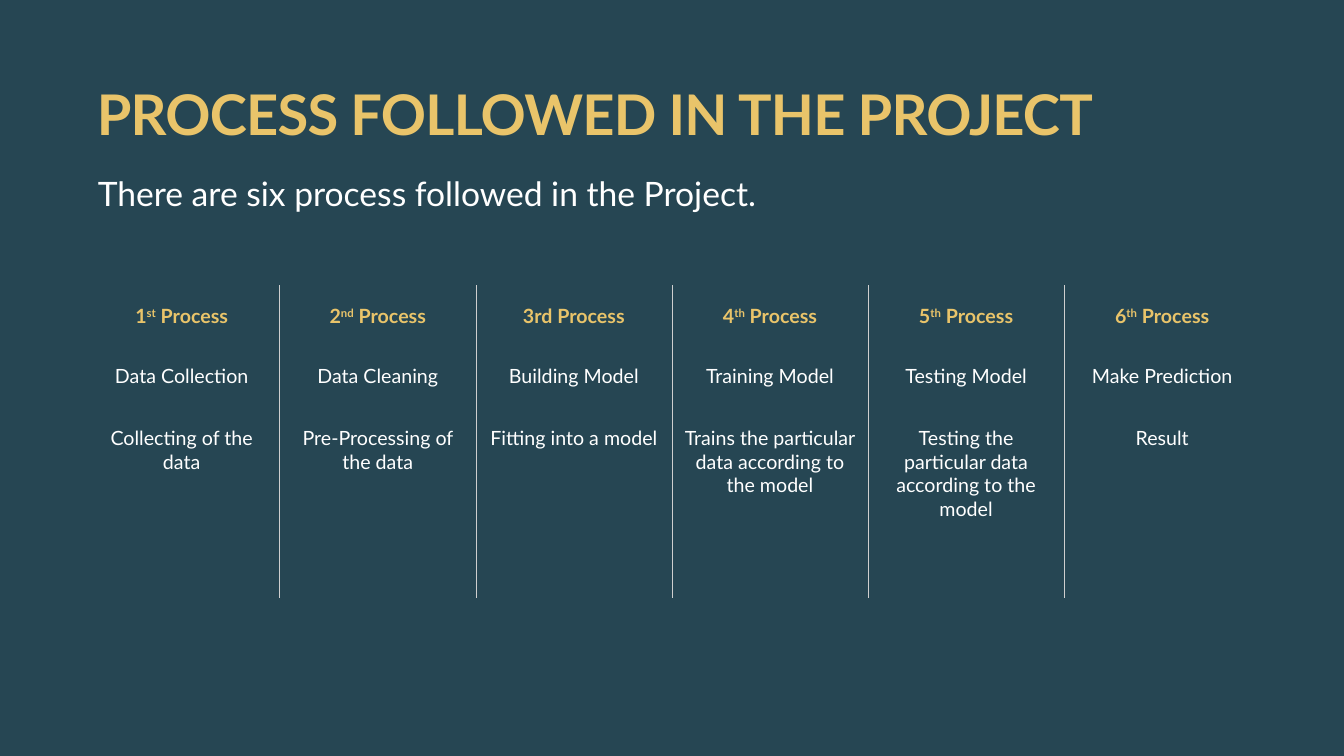
"""Build a slide that lists the six processes of a project in a ruled table."""
from pptx import Presentation
from pptx.dml.color import RGBColor
from pptx.enum.text import MSO_ANCHOR as Anchor, MSO_AUTO_SIZE as AutoSize, PP_ALIGN as Align
from pptx.oxml import parse_xml
from pptx.oxml.ns import nsdecls, qn
from pptx.util import Inches, Pt

GOLD, WHITE, RULE, NAVY = "E9C46A", "FFFFFF", "CFCFCF", "264653"
PLAIN_TABLE = "{2D5ABB26-0587-4C30-8999-92F81FD0307C}"
ROW_HEIGHTS = (0.6, 0.6, 1.9)
PROCESSES = [
    (("1", "st", " Process"), "Data Collection", "Collecting of the data"),
    (("2", "nd", " Process"), "Data Cleaning", "Pre-Processing of the data"),
    (("3rd Process",), "Building Model", "Fitting into a model"),
    (("4", "th", " Process"), "Training Model",
     "Trains the particular data according to the model"),
    (("5", "th", " Process"), "Testing Model",
     "Testing the particular data according to the model"),
    (("6", "th", " Process"), "Make Prediction", "Result"),
]


def color(value):
    return RGBColor.from_string(value)


class ProcessPage:
    def __init__(self, deck, font="Lato"):
        self.page = deck.slides.add_slide(deck.slide_layouts[5])
        self.font = font
        background = self.page.background.fill
        background.solid()
        background.fore_color.rgb = color(NAVY)

    def style(self, span, size, ink, bold=False):
        span.font.name = self.font
        span.font.size = Pt(size)
        span.font.bold = bold
        span.font.color.rgb = color(ink)

    def fill_frame(self, box, text, size, ink, bold=False, anchor=Anchor.TOP):
        frame = box.text_frame
        frame.word_wrap = True
        frame.auto_size = AutoSize.NONE
        frame.vertical_anchor = anchor
        frame.margin_left = frame.margin_right = 0
        frame.margin_top = frame.margin_bottom = 0
        frame.text = text
        para = frame.paragraphs[0]
        para.alignment = Align.LEFT
        para.line_spacing = 0.9
        self.style(para.runs[0], size, ink, bold)
        return para

    def title(self, text, left, top, width, height):
        box = self.page.shapes.title
        box.left, box.top = Inches(left), Inches(top)
        box.width, box.height = Inches(width), Inches(height)
        para = self.fill_frame(box, text, 40, GOLD, True, Anchor.BOTTOM)
        para.line_spacing = 1.0
        para.runs[0]._r.get_or_add_rPr().set("spc", "-50")

    def subtitle(self, text, left, top, width, height):
        box = self.page.shapes.add_textbox(
            Inches(left), Inches(top), Inches(width), Inches(height))
        self.fill_frame(box, text, 24, WHITE)

    def rule(self, cell, side):
        cell._tc.get_or_add_tcPr().insert(0, parse_xml(
            f'<a:{side} {nsdecls("a")} w="6350"><a:solidFill>'
            f'<a:srgbClr val="{RULE}"/></a:solidFill></a:{side}>'))

    def cell(self, cell, parts, ink, bold):
        cell.fill.background()
        para = cell.text_frame.paragraphs[0]
        para.alignment = Align.CENTER
        para.space_before = Pt(2.8)
        for index, part in enumerate(parts):
            span = para.add_run()
            span.text = part
            self.style(span, 14, ink, bold)
            if index == 1:
                span._r.get_or_add_rPr().set("baseline", "30000")

    def process_table(self, processes, left, top, width):
        table = self.page.shapes.add_table(
            len(ROW_HEIGHTS), len(processes), Inches(left), Inches(top),
            Inches(width), Inches(sum(ROW_HEIGHTS))).table
        table.first_row = table.horz_banding = False
        table._tbl.tblPr.find(qn("a:tableStyleId")).text = PLAIN_TABLE
        for row, height in zip(table.rows, ROW_HEIGHTS):
            row.height = Inches(height)
        last = len(processes) - 1
        for column, (heading, step, detail) in enumerate(processes):
            for row, parts in enumerate((heading, (step,), (detail,))):
                cell = table.cell(row, column)
                self.cell(cell, parts, GOLD if row == 0 else WHITE, row == 0)
                if row < 2:
                    cell.vertical_anchor = Anchor.MIDDLE
                else:
                    cell.margin_top = Inches(0.2)
                if column < last:
                    self.rule(cell, "lnR")
                if column > 0:
                    self.rule(cell, "lnL")


def main():
    deck = Presentation()
    deck.slide_width, deck.slide_height = Inches(13.33), Inches(7.5)
    page = ProcessPage(deck)
    page.title("PROCESS FOLLOWED IN THE PROJECT", 0.96, 0.76, 11.39, 0.7)
    page.subtitle("There are six process followed in the Project.", 0.97, 1.76, 11.39, 0.78)
    page.process_table(PROCESSES, 0.83, 2.83, 11.67)
    deck.save("out.pptx")


if __name__ == "__main__":
    main()
